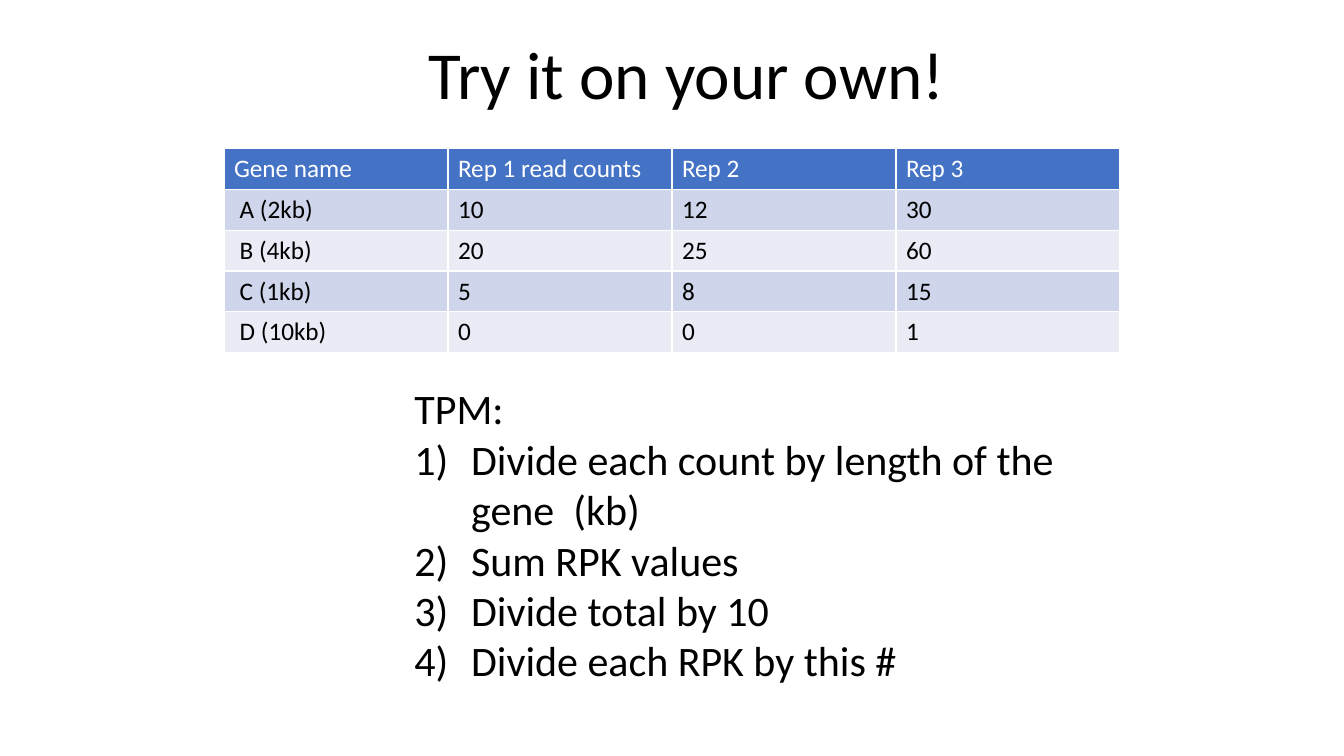
"""Build the TPM exercise slide with a read-count table and numbered steps."""
import pptx
import pptx.dml.color
import pptx.enum.text
import pptx.oxml.ns
import pptx.util
from lxml import etree

Pt = pptx.util.Pt
COLORS = {"header": "4472C4", "odd": "CFD5EA", "even": "E9EBF5", "white": "FFFFFF", "black": "000000"}


def add_run(p, text, size, color):
    r = p.add_run()
    r.text = text
    r.font.name = "Calibri"
    r.font.size = Pt(size)
    r.font.bold = False
    r.font.color.rgb = pptx.dml.color.RGBColor.from_string(COLORS[color])


prs = pptx.Presentation()
prs.slide_width, prs.slide_height = Pt(960), Pt(540)
s = prs.slides.add_slide(prs.slide_layouts[6])

rows = [
    ["Gene name", "Rep 1 read counts", "Rep 2", "Rep 3"],
    [" A (2kb)", "10", "12", "30"],
    [" B (4kb)", "20", "25", "60"],
    [" C (1kb)", "5", "8", "15"],
    [" D (10kb)", "0", "0", "1"],
]
row_height = 29.2
table = s.shapes.add_table(len(rows), len(rows[0]), Pt(160), Pt(106), Pt(640), Pt(row_height * len(rows))).table
for i, row in enumerate(rows):
    table.rows[i].height = Pt(row_height)
    fill = "header" if i == 0 else "odd" if i % 2 else "even"
    for j, text in enumerate(row):
        cell = table.cell(i, j)
        cell.fill.solid()
        cell.fill.fore_color.rgb = pptx.dml.color.RGBColor.from_string(COLORS[fill])
        add_run(cell.text_frame.paragraphs[0], text, 18, "white" if i == 0 else "black")

tf = s.shapes.add_textbox(Pt(289), Pt(270), Pt(482), Pt(225.4)).text_frame
tf.word_wrap = True
tf.auto_size = pptx.enum.text.MSO_AUTO_SIZE.SHAPE_TO_FIT_TEXT
add_run(tf.paragraphs[0], "TPM:", 30, "black")
steps = [
    "Divide each count by length of the gene  (kb)",
    "Sum RPK values",
    "Divide total by 10",
    "Divide each RPK by this #",
]
indent = Pt(40.5)
for step in steps:
    p = tf.add_paragraph()
    add_run(p, step, 30, "black")
    pPr = p._p.get_or_add_pPr()
    pPr.set("marL", str(indent))
    pPr.set("indent", str(-indent))
    etree.SubElement(pPr, pptx.oxml.ns.qn("a:buFont"), typeface="+mj-lt")
    etree.SubElement(pPr, pptx.oxml.ns.qn("a:buAutoNum"), type="arabicParenR")

tf = s.shapes.add_textbox(Pt(299), Pt(19.5), Pt(387.5), Pt(65.5)).text_frame
tf.word_wrap = False
tf.auto_size = pptx.enum.text.MSO_AUTO_SIZE.SHAPE_TO_FIT_TEXT
add_run(tf.paragraphs[0], "Try it on your own!", 48, "black")

prs.save("out.pptx")
